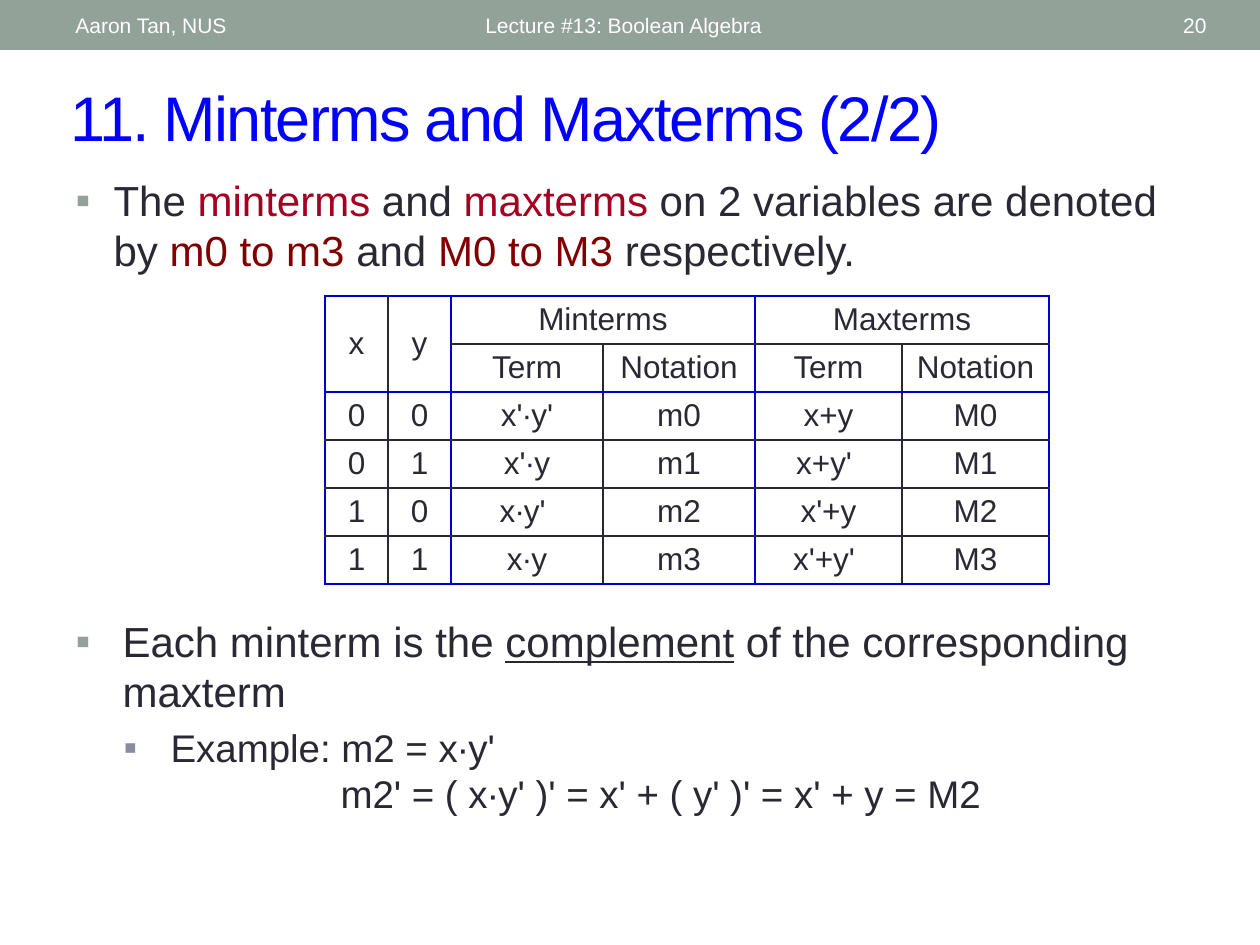
import pptx
import pptx.dml.color
import pptx.enum.shapes
import pptx.enum.text
import pptx.oxml
import pptx.oxml.ns
import pptx.util

FONT = "Arial"
INK, BLUE, CRIMSON, MAROON = "292934", "0000CC", "A50021", "800000"
SAGE, LAVENDER, WHITE = "93A299", "8A8AA3", "FFFFFF"
ALIGN = pptx.enum.text.PP_ALIGN
MIDDLE = pptx.enum.text.MSO_ANCHOR.MIDDLE
TOP = pptx.enum.text.MSO_ANCHOR.TOP


def px(length):
    """Turn px into EMU."""
    return pptx.util.Emu(round(length * 914400 / 126))


def colour(hex_string):
    """Turn a hex string into a colour."""
    return pptx.dml.color.RGBColor.from_string(hex_string)


def element(xml):
    """Parse one drawing element."""
    tag, rest = xml[1:].split(" ", 1)
    return pptx.oxml.parse_xml(f"<{tag} {pptx.oxml.ns.nsdecls('a')} {rest}")


def set_font(font, size, hex_string):
    """Set face, size and colour of a font."""
    font.name = FONT
    font.size = pptx.util.Pt(size)
    font.color.rgb = colour(hex_string)


def place(shape, box, anchor):
    """Move a text shape to a box and set its frame."""
    shape.left, shape.top, shape.width, shape.height = map(px, box)
    frame = shape.text_frame
    frame.word_wrap = True
    frame.auto_size = pptx.enum.text.MSO_AUTO_SIZE.NONE
    frame.vertical_anchor = anchor
    return frame


def add_header(slide, box, labels):
    """Draw the top band and its labels."""
    left, top, width, height = box
    band = slide.shapes.add_shape(
        pptx.enum.shapes.MSO_SHAPE.RECTANGLE, *map(px, box))
    band.shadow.inherit = False
    band.fill.solid()
    band.fill.fore_color.rgb = colour(SAGE)
    band.line.fill.background()
    for text, offset, label_width, align in labels:
        label = slide.shapes.add_textbox(0, 0, 0, 0)
        frame = place(label, (left + offset, top + 3, label_width, height - 5), MIDDLE)
        paragraph = frame.paragraphs[0]
        paragraph.text = text
        paragraph.alignment = align
        set_font(paragraph.font, 12, WHITE)


def fill_title(title, box, text):
    """Write the slide title."""
    paragraph = place(title, box, MIDDLE).paragraphs[0]
    paragraph.text = text
    paragraph.alignment = ALIGN.LEFT
    set_font(paragraph.font, 36, "0000FF")
    paragraph.runs[0]._r.get_or_add_rPr().set("spc", "-100")


def fill_body(body, box, items):
    """Write list items of (level, size, margin, hanging, bullet colour, runs)."""
    frame = place(body, box, TOP)
    for index, (level, size, margin, hanging, bullet, runs) in enumerate(items):
        paragraph = frame.add_paragraph() if index else frame.paragraphs[0]
        paragraph.level = level
        paragraph.alignment = ALIGN.LEFT
        paragraph.space_before = pptx.util.Pt(size * 0.2 if bullet else 0)
        set_font(paragraph.font, size, INK)
        properties = paragraph._p.get_or_add_pPr()
        properties.set("marL", str(px(margin)))
        properties.set("indent", str(px(-hanging)))
        marks = ["<a:buNone />"]
        if bullet:
            marks = [f'<a:buClr ><a:srgbClr val="{bullet}"/></a:buClr>',
                     f'<a:buFont typeface="{FONT}"/>', '<a:buChar char="▪"/>']
        for mark in marks:
            properties.insert_element_before(element(mark), "a:tabLst", "a:defRPr", "a:extLst")
        for text, hex_string, underline in runs:
            run = paragraph.add_run()
            run.text = text
            run.font.color.rgb = colour(hex_string)
            if underline:
                run.font.underline = True


def set_borders(cell, row, column):
    """Rule a cell: blue around the groups, dark inside them."""
    last_row = row + cell.span_height - 1 if cell.is_merge_origin else row
    last_column = column + cell.span_width - 1 if cell.is_merge_origin else column
    edges = {"L": column % 2 == 0, "R": last_column % 2 == 1,
             "T": row in (0, 2), "B": last_row in (1, 5)}
    properties = cell._tc.get_or_add_tcPr()
    for index, (side, outer) in enumerate(edges.items()):
        width, hex_string = (19050, BLUE) if outer else (12700, INK)
        properties.insert(index, element(
            f'<a:ln{side} w="{width}"><a:solidFill><a:srgbClr val="{hex_string}"/>'
            f'</a:solidFill></a:ln{side}>'))


def add_term_table(slide, box, widths, rows, merges):
    """Build the table of minterms and maxterms."""
    frame = slide.shapes.add_table(len(rows), len(widths), *map(px, box))
    table = frame.table
    table.first_row = table.horz_banding = False
    for column, width in zip(table.columns, widths):
        column.width = px(width)
    for row in table.rows:
        row.height = px(box[3] // len(rows))
    for first, last in merges:
        table.cell(*first).merge(table.cell(*last))
    for row, texts in enumerate(rows):
        for column, text in enumerate(texts):
            cell = table.cell(row, column)
            cell.fill.background()
            if cell.is_spanned:
                continue
            cell.margin_top = cell.margin_bottom = px(5)
            cell.vertical_anchor = MIDDLE
            paragraph = cell.text_frame.paragraphs[0]
            paragraph.text = text
            paragraph.alignment = ALIGN.CENTER
            set_font(paragraph.font, 18, INK)
            set_borders(cell, row, column)


def build_slide(presentation):
    """Assemble the slide on minterms and maxterms."""
    slide = presentation.slides.add_slide(presentation.slide_layouts[3])
    title, definition, complement = slide.placeholders
    add_header(slide, (0, 0, 1260, 50), [
        ("Aaron Tan, NUS", 63, 399, ALIGN.LEFT),
        ("Lecture #13: Boolean Algebra", 473, 567, ALIGN.LEFT),
        ("20", 1099, 120, ALIGN.RIGHT)])
    fill_title(title, (58, 72, 1143, 88), "11. Minterms and Maxterms (2/2)")
    fill_body(definition, (63, 168, 1113, 126), [
        (0, 24, 38, 38, SAGE, [
            ("The ", INK, False), ("minterms", CRIMSON, False),
            (" and ", INK, False), ("maxterms", CRIMSON, False),
            (" on 2 variables are denoted by ", INK, False),
            ("m0 to m3", MAROON, False), (" and ", INK, False),
            ("M0 to M3", MAROON, False), (" respectively.", INK, False)])])
    add_term_table(slide, (325, 296, 724, 288), [63, 63, 152, 152, 147, 147], [
        ["x", "y", "Minterms", "", "Maxterms", ""],
        ["", "", "Term", "Notation", "Term", "Notation"],
        ["0", "0", "x'∙y'", "m0", "x+y", "M0"],
        ["0", "1", "x'∙y", "m1", "x+y' ", "M1"],
        ["1", "0", "x∙y' ", "m2", "x'+y", "M2"],
        ["1", "1", "x∙y", "m3", "x'+y' ", "M3"],
    ], [((0, 0), (1, 0)), ((0, 1), (1, 1)), ((0, 2), (0, 3)), ((0, 4), (0, 5))])
    fill_body(complement, (63, 609, 1134, 231), [
        (0, 24, 47, 47, SAGE, [
            ("Each minterm is the ", INK, False), ("complement", INK, True),
            (" of the corresponding maxterm", INK, False)]),
        (1, 22, 95, 47, LAVENDER, [("Example: m2 = x∙y'", INK, False)]),
        (1, 22, 265, 0, None, [
            ("m2' = ( x∙y' )' = x' + ( y' )' = x' + y = M2", INK, False)])])


def main():
    """Create and save the presentation."""
    presentation = pptx.Presentation()
    presentation.slide_width, presentation.slide_height = px(1260), px(945)
    build_slide(presentation)
    presentation.save("out.pptx")


if __name__ == "__main__":
    main()
